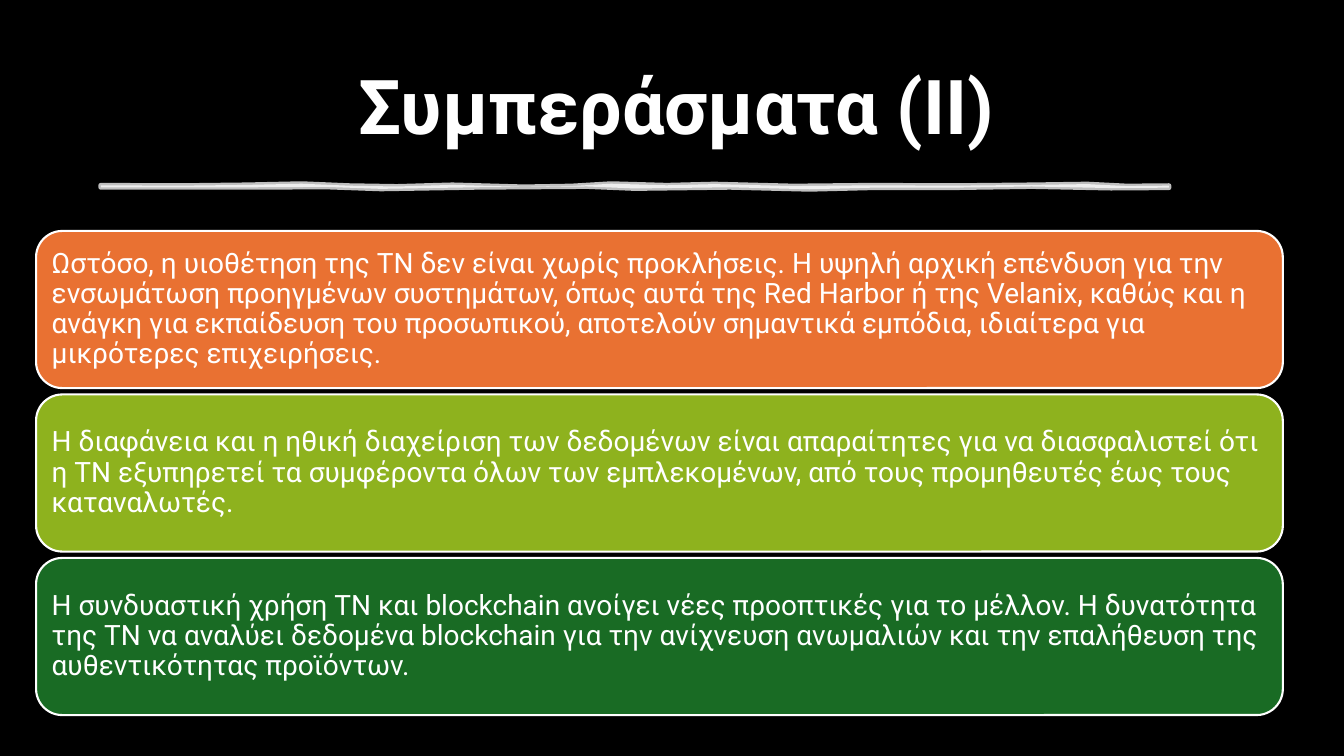
from dataclasses import dataclass

from pptx import Presentation
from pptx.dml.color import RGBColor as Rgb
from pptx.enum.shapes import MSO_SHAPE as Shape
from pptx.enum.text import MSO_ANCHOR as Anchor, MSO_AUTO_SIZE as Fit, PP_ALIGN as Align
from pptx.oxml.ns import qn
from pptx.util import Cm, Pt
from lxml.etree import SubElement


@dataclass(frozen=True)
class Theme:
    font: str = "Roboto"
    back: Rgb = Rgb(0, 0, 0)
    ink: Rgb = Rgb(255, 255, 255)
    fills: tuple = (Rgb(0xE9, 0x71, 0x32), Rgb(0x8E, 0xB2, 0x1E), Rgb(0x19, 0x6B, 0x24))
    head: Pt = Pt(54)
    body: Pt = Pt(20)


theme = Theme()


def write(frame, text, size, align, bold=False):
    frame.text = text
    frame.word_wrap = True
    frame.auto_size = Fit.NONE
    frame.vertical_anchor = Anchor.MIDDLE
    para = frame.paragraphs[0]
    para.alignment = align
    para.line_spacing = 0.9
    font = para.font
    font.name, font.size, font.bold = theme.font, size, bold
    font.color.rgb = theme.ink


deck = Presentation()
deck.slide_width, deck.slide_height = Cm(33.87), Cm(19.05)
slide = deck.slides.add_slide(deck.slide_layouts[5])
slide.background.fill.solid()
slide.background.fill.fore_color.rgb = theme.back

# Title
title = slide.shapes.title
title.left, title.top, title.width, title.height = Cm(2.44), Cm(0.94), Cm(29.21), Cm(3.68)
write(title.text_frame, "Συμπεράσματα (ΙΙ)", theme.head, Align.CENTER, True)

# Hand-drawn rule: upper edge left to right, lower edge back
upper = [(2.54, 4.67), (4.5, 4.68), (6.2, 4.66), (7.6, 4.63), (8.8, 4.68),
         (10, 4.7), (11.4, 4.66), (13.2, 4.71), (14.4, 4.69), (15.4, 4.63),
         (16.8, 4.67), (18, 4.64), (20, 4.69), (22, 4.67), (24, 4.68),
         (26, 4.66), (27.4, 4.64), (28.4, 4.69), (29.46, 4.68)]
lower = [(29.46, 4.73), (28, 4.74), (26, 4.7), (24, 4.73), (22, 4.73),
         (20.4, 4.77), (18.4, 4.72), (16, 4.75), (14.8, 4.7), (12, 4.72),
         (9.6, 4.76), (8.2, 4.71), (6.4, 4.72), (4.6, 4.72), (2.54, 4.72)]
edge = [(Cm(x), Cm(y)) for x, y in upper + lower]
pen = slide.shapes.build_freeform(*edge[0])
pen.add_line_segments(edge[1:], close=True)
rule = pen.convert_to_shape()
rule.shadow.inherit = False
rule.line.width = Pt(3.5)
for paint in (rule.fill, rule.line.fill):
    paint.solid()
    paint.fore_color.rgb = theme.ink
for tone in rule._element.spPr.iter(qn("a:srgbClr")):
    SubElement(tone, qn("a:alpha")).set("val", "75000")

# Stacked conclusions
points = [
    "Ωστόσο, η υιοθέτηση της ΤΝ δεν είναι χωρίς προκλήσεις. Η υψηλή αρχική επένδυση για την "
    "ενσωμάτωση προηγμένων συστημάτων, όπως αυτά της Red Harbor ή της Velanix, καθώς και η "
    "ανάγκη για εκπαίδευση του προσωπικού, αποτελούν σημαντικά εμπόδια, ιδιαίτερα για "
    "μικρότερες επιχειρήσεις.",
    "Η διαφάνεια και η ηθική διαχείριση των δεδομένων είναι απαραίτητες για να διασφαλιστεί ότι "
    "η ΤΝ εξυπηρετεί τα συμφέροντα όλων των εμπλεκομένων, από τους προμηθευτές έως τους "
    "καταναλωτές.",
    "Η συνδυαστική χρήση ΤΝ και blockchain ανοίγει νέες προοπτικές για το μέλλον. Η δυνατότητα "
    "της ΤΝ να αναλύει δεδομένα blockchain για την ανίχνευση ανωμαλιών και την επαλήθευση της "
    "αυθεντικότητας προϊόντων.",
]
pitch = 4.12
for row, (text, tint) in enumerate(zip(points, theme.fills)):
    card = slide.shapes.add_shape(Shape.ROUNDED_RECTANGLE, Cm(0.91), Cm(5.82 + row * pitch),
                                  Cm(31.42), Cm(3.96))
    card.shadow.inherit = False
    card.fill.solid()
    card.fill.fore_color.rgb = tint
    card.line.color.rgb = theme.ink
    card.line.width = Pt(1.5)
    frame = card.text_frame
    frame.margin_left = frame.margin_right = frame.margin_top = frame.margin_bottom = Cm(0.2)
    write(frame, text, theme.body, Align.LEFT)

deck.save("out.pptx")
